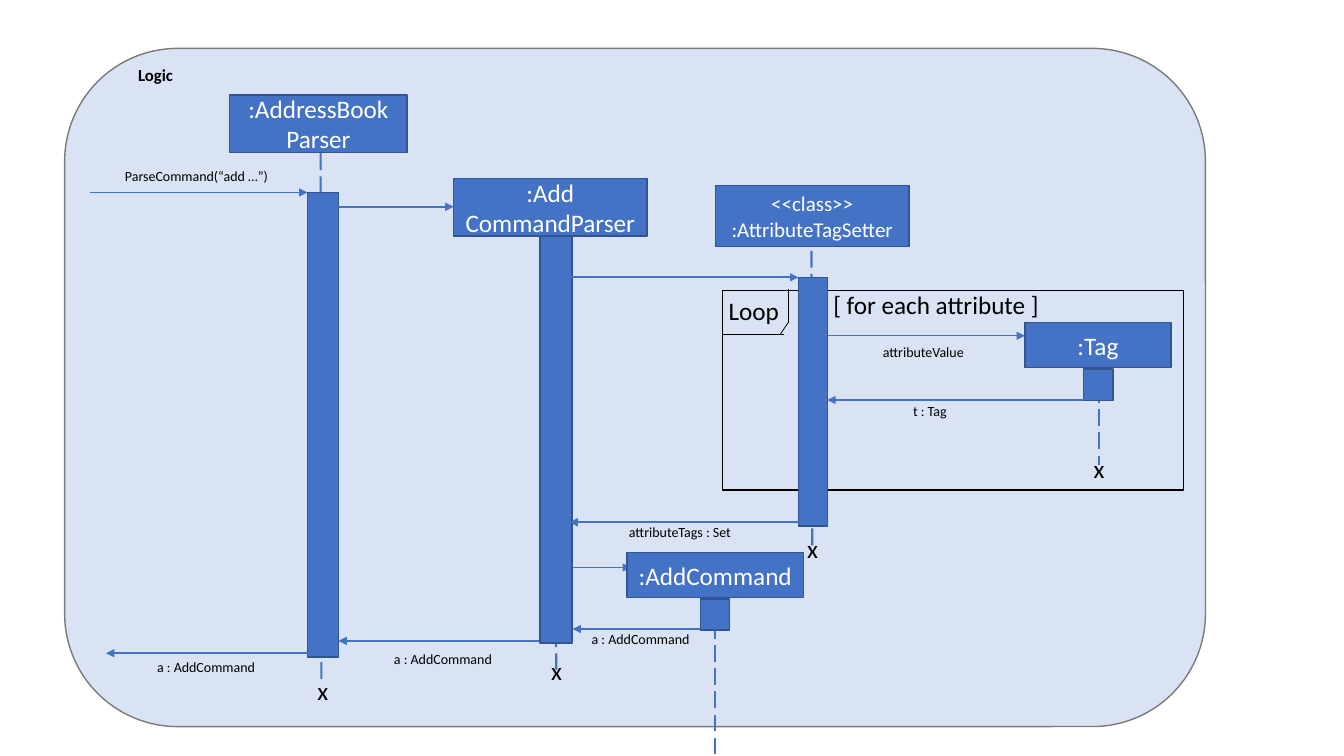
from pptx import Presentation
from pptx.dml.color import RGBColor
from pptx.enum.dml import MSO_LINE
from pptx.enum.shapes import MSO_CONNECTOR, MSO_SHAPE
from pptx.enum.text import MSO_ANCHOR, MSO_AUTO_SIZE, PP_ALIGN
from pptx.oxml.ns import qn
from pptx.util import Cm, Pt
from lxml.etree import SubElement


def color(code):
    return RGBColor.from_string(code)


class Diagram:
    font = "Calibri"
    blue, edge = "4472C4", "325491"
    pale, gray = "DAE3F3", "7A7A7A"
    black, white = "000000", "FFFFFF"

    def __init__(self, slide):
        self.shapes = slide.shapes

    def box(self, x, y, w, h, fill=blue, line=edge, kind=MSO_SHAPE.RECTANGLE):
        shape = self.shapes.add_shape(kind, Cm(x), Cm(y), Cm(w), Cm(h))
        shape.shadow.inherit = False
        if fill:
            shape.fill.solid()
            shape.fill.fore_color.rgb = color(fill)
        else:
            shape.fill.background()
        shape.line.color.rgb = color(line)
        shape.line.width = Pt(1)
        return shape

    def words(self, frame, text, size, ink, align, bold=False):
        frame.text = text
        for par in frame.paragraphs:
            par.alignment = align
            par.font.name = self.font
            par.font.size = Pt(size)
            par.font.bold = bold
            par.font.color.rgb = color(ink)

    def head(self, text, x, y, w, h, size=18):
        frame = self.box(x, y, w, h).text_frame
        frame.word_wrap = True
        frame.vertical_anchor = MSO_ANCHOR.MIDDLE
        self.words(frame, text, size, self.white, PP_ALIGN.CENTER)

    def label(self, text, x, y, w, h=0.69, size=10, bold=False, wrap=False):
        frame = self.shapes.add_textbox(Cm(x), Cm(y), Cm(w), Cm(h)).text_frame
        frame.word_wrap = wrap
        frame.auto_size = MSO_AUTO_SIZE.SHAPE_TO_FIT_TEXT
        self.words(frame, text, size, self.black, PP_ALIGN.LEFT, bold)

    def line(self, x1, y1, x2, y2, ink=blue, width=1.5):
        link = self.shapes.add_connector(
            MSO_CONNECTOR.STRAIGHT, Cm(x1), Cm(y1), Cm(x2), Cm(y2))
        link.line.color.rgb = color(ink)
        link.line.width = Pt(width)
        SubElement(link._element.spPr, qn("a:effectLst"))
        return link

    def life(self, x1, y1, x2, y2):
        self.line(x1, y1, x2, y2).line.dash_style = MSO_LINE.LONG_DASH

    def arrow(self, y, x1, x2, width=1.5):
        link = self.line(x1, y, x2, y, width=width)
        outline = link._element.spPr.find(qn("a:ln"))
        SubElement(outline, qn("a:tailEnd"), type="triangle")


def main():
    deck = Presentation()
    deck.slide_width, deck.slide_height = Cm(33.87), Cm(19.05)
    art = Diagram(deck.slides.add_slide(deck.slide_layouts[6]))

    # Frames and loop tag
    art.box(1.63, 1.22, 28.75, 17.09, art.pale, art.gray,
            MSO_SHAPE.ROUNDED_RECTANGLE)
    art.box(18.21, 7.32, 11.61, 5.03, None, art.black)
    for ends in [(18.21, 8.43, 19.76, 8.43), (19.66, 8.43, 19.86, 8.13),
                 (19.86, 7.29, 19.86, 8.13)]:
        art.line(*ends, ink=art.black, width=0.5)

    # Lifelines
    for ends in [(8.08, 3.86, 8.1, 17.17), (13.94, 5.97, 14.02, 16.94),
                 (20.45, 6.32, 20.47, 13.74), (27.69, 9.73, 27.69, 11.71),
                 (18.01, 15.09, 18.01, 19.05)]:
        art.life(*ends)

    # Activation bars
    for bar in [(7.75, 4.85, 0.79, 11.71), (13.61, 5.94, 0.81, 10.26),
                (20.12, 6.99, 0.74, 6.27), (27.31, 9.3, 0.74, 0.79),
                (17.65, 15.09, 0.74, 0.79)]:
        art.box(*bar)

    # Calls and returns: height, start, end
    for call in [(5.21, 8.53, 11.43), (6.99, 14.35, 20.12),
                 (10.08, 27.31, 20.85), (13.16, 20.32, 14.35),
                 (15.85, 17.65, 14.43), (16.15, 13.59, 8.53),
                 (16.46, 7.75, 2.67)]:
        art.arrow(*call)
    for call in [(4.85, 2.26, 7.75), (8.46, 20.85, 25.83),
                 (14.3, 14.43, 15.9)]:
        art.arrow(*call, width=0.5)

    # Participants
    art.head(":AddressBook\nParser", 5.79, 2.39, 4.47, 1.45)
    art.head(":Add\nCommandParser", 11.43, 4.5, 4.88, 1.45)
    art.head("<<class>>\n:AttributeTagSetter", 18.03, 4.67, 4.88, 1.55, 15)
    art.head(":Tag", 25.83, 8.13, 3.68, 1.14)
    art.head(":AddCommand", 15.8, 13.92, 4.45, 1.14)

    # Message labels
    art.label("ParseCommand(“add …”)", 2.9, 4.09, 4.17)
    art.label("attributeValue", 22, 8.53, 2.72, wrap=True)
    art.label("t : Tag", 22.76, 10.01, 1.4)
    art.label("attributeTags : Set", 15.6, 13.06, 3.18)
    for x, y in [(9.68, 16.26), (3.71, 16.48), (14.66, 15.77)]:
        art.label("a : AddCommand", x, y, 3)

    # Titles and end marks
    art.label("Logic", 3.23, 1.5, 1.42, 0.76, 12, bold=True)
    art.label("Loop", 18.11, 7.32, 1.8, 1.02, 18)
    art.label("[ for each attribute ]", 20.75, 7.16, 5.77, 1.02, 18)
    for x, y in [(27.31, 11.3), (13.64, 16.38), (7.75, 16.89), (20.09, 13.31)]:
        art.label("x", x, y, 0.79, 1.02, 18)

    deck.save("out.pptx")


if __name__ == "__main__":
    main()
